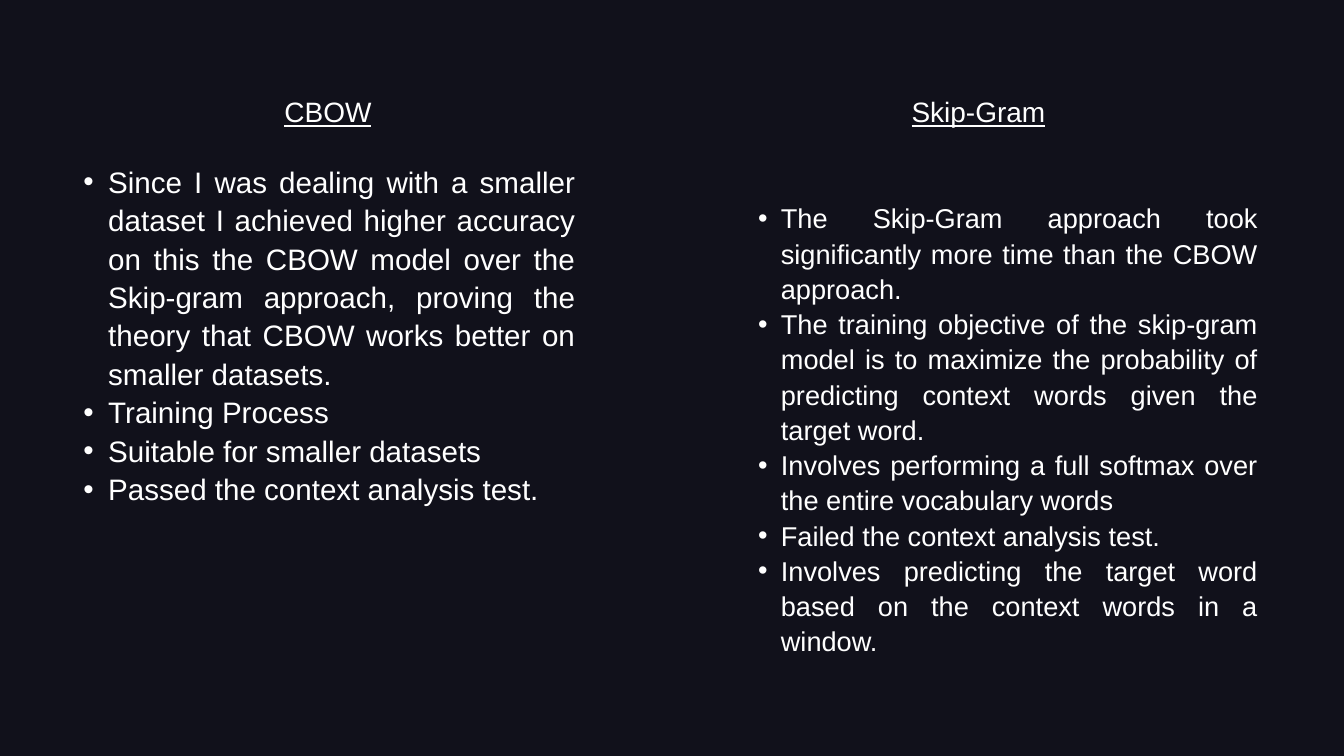
from lxml.etree import SubElement
from pptx import Presentation
from pptx.dml.color import RGBColor
from pptx.enum.shapes import MSO_SHAPE
from pptx.enum.text import MSO_AUTO_SIZE, PP_ALIGN
from pptx.oxml.ns import qn
from pptx.util import Inches, Pt

WIDTH, HEIGHT = 20, 11.25
BACKGROUND, WHITE = "11111B", "FFFFFF"
FONT = "Arial"
PANEL_SIZE, CORNER_SHARE, PANEL_OPACITY = 9.12, 0.03, 5
HEADING_TOP, HEADING_HEIGHT, HEADING_SIZE = 1.37, 0.58, 30
LINE_RATIO = 1.3

COLUMNS = [
    {
        "panel": (0.32, 0.72, PANEL_SIZE, 9.81),
        "heading": "CBOW",
        "heading_span": (4.19, 1.38),
        "body": (0.87, 2.39, 7.69, 5.71),
        "size": 31.7,
        "indent": 0.37,
        "bullets": [
            "Since I was dealing with a smaller dataset I achieved higher accuracy on this the CBOW model "
            "over the Skip-gram approach, proving the theory that CBOW works better on smaller datasets.",
            "Training Process",
            "Suitable for smaller datasets",
            "Passed the context analysis test.",
        ],
    },
    {
        "panel": (10.27, 0.81, PANEL_SIZE, 9.81),
        "heading": "Skip-Gram",
        "heading_span": (12.99, 3.14),
        "body": (10.94, 2.96, 7.78, 6.79),
        "size": 29.1,
        "indent": 0.34,
        "bullets": [
            "The Skip-Gram approach took significantly more time than the CBOW approach.",
            "The training objective of the skip-gram model is to maximize the probability of predicting "
            "context words given the target word.",
            "Involves performing a full softmax over the entire vocabulary words",
            "Failed the context analysis test.",
            "Involves predicting the target word based on the context words in a window.",
        ],
    },
]


def color(value):
    return RGBColor.from_string(value)


def add_panel(slide, box):
    panel = slide.shapes.add_shape(MSO_SHAPE.ROUNDED_RECTANGLE, *map(Inches, box))
    panel.adjustments[0] = CORNER_SHARE
    panel.shadow.inherit = False
    panel.line.fill.background()
    panel.fill.solid()
    panel.fill.fore_color.rgb = color(BACKGROUND)
    fill_color = panel.fill._xPr.find(qn("a:solidFill"))[0]
    SubElement(fill_color, qn("a:alpha"), val=str(PANEL_OPACITY * 1000))


def add_text(slide, box, lines, size, alignment, indent=None, underline=None):
    frame = slide.shapes.add_textbox(*map(Inches, box)).text_frame
    frame.margin_left = frame.margin_top = frame.margin_right = frame.margin_bottom = 0
    frame.word_wrap = True
    frame.auto_size = MSO_AUTO_SIZE.SHAPE_TO_FIT_TEXT
    for index, line in enumerate(lines):
        paragraph = frame.add_paragraph() if index else frame.paragraphs[0]
        paragraph.alignment = alignment
        paragraph.line_spacing = Pt(round(size * LINE_RATIO, 1))
        if indent:
            paragraph.level = 1
            properties = paragraph._p.get_or_add_pPr()
            properties.set("marL", str(Inches(2 * indent)))
            properties.set("indent", str(-Inches(indent)))
            SubElement(properties, qn("a:buFont"), typeface=FONT)
            SubElement(properties, qn("a:buChar"), char="•")
        run = paragraph.add_run()
        run.text = line
        run.font.name = FONT
        run.font.size = Pt(size)
        run.font.color.rgb = color(WHITE)
        run.font.underline = underline


def main():
    """Build the slide comparing CBOW with Skip-Gram."""
    presentation = Presentation()
    presentation.slide_width, presentation.slide_height = Inches(WIDTH), Inches(HEIGHT)
    slide = presentation.slides.add_slide(presentation.slide_layouts.get_by_name("Blank"))
    slide.background.fill.solid()
    slide.background.fill.fore_color.rgb = color(BACKGROUND)
    for column in COLUMNS:
        add_panel(slide, column["panel"])
    for column in COLUMNS:
        left, width = column["heading_span"]
        heading_box = (left, HEADING_TOP, width, HEADING_HEIGHT)
        add_text(slide, heading_box, [column["heading"]], HEADING_SIZE, PP_ALIGN.CENTER, underline=True)
        add_text(slide, column["body"], column["bullets"], column["size"], PP_ALIGN.JUSTIFY, column["indent"])
    presentation.save("out.pptx")


if __name__ == "__main__":
    main()
